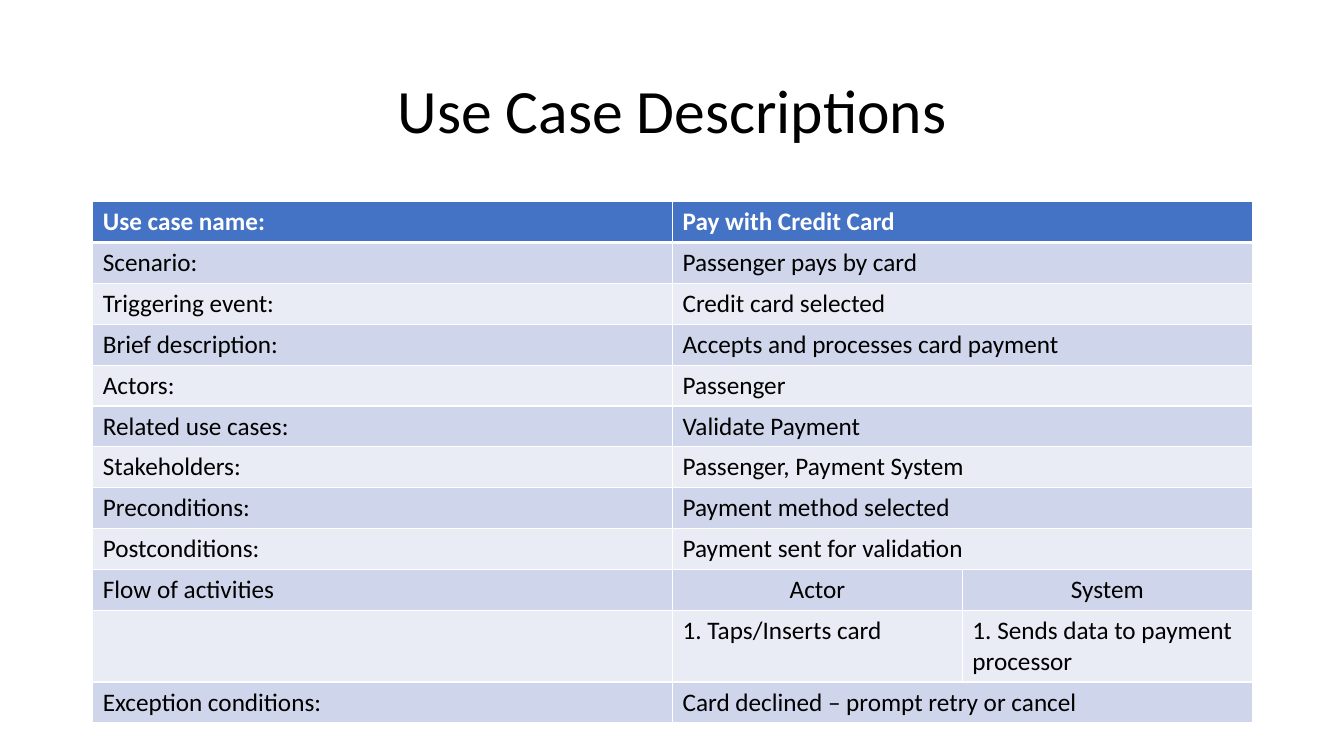
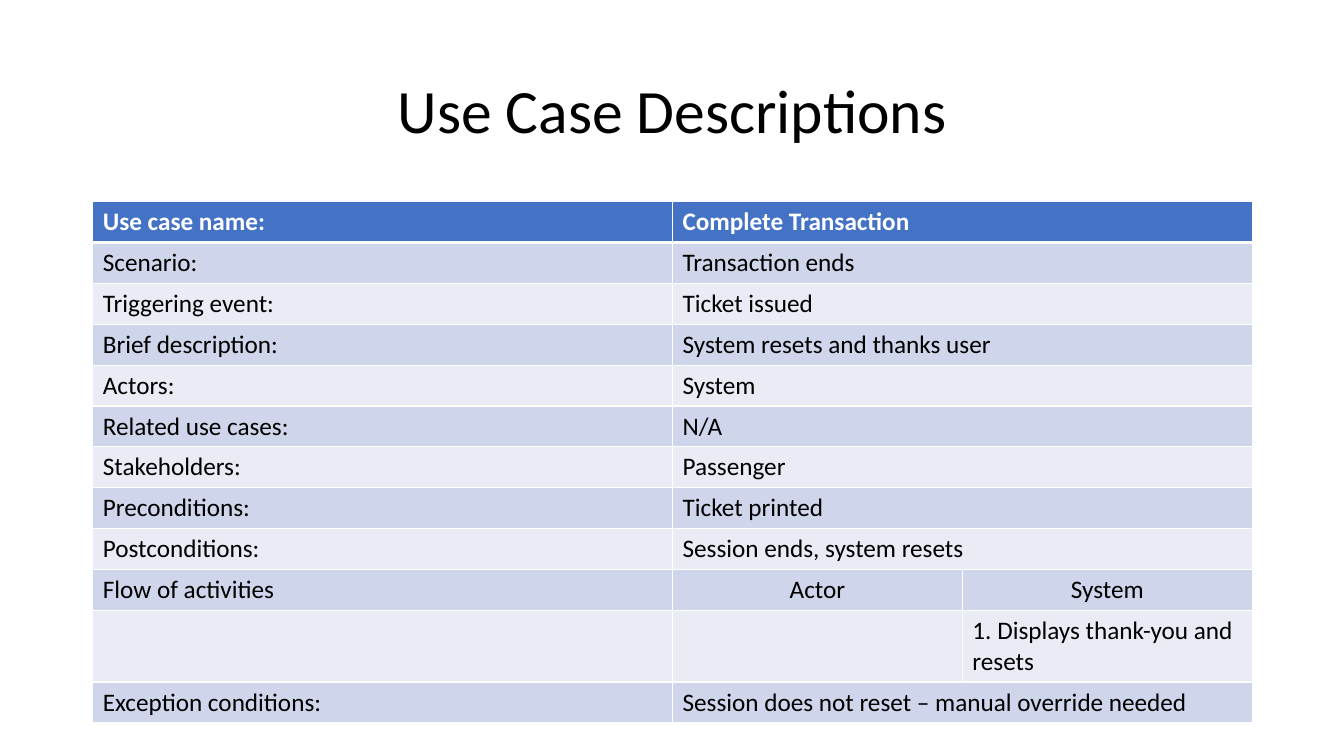
from dataclasses import dataclass

from lxml.etree import SubElement
from pptx import Presentation
from pptx.dml.color import RGBColor
from pptx.enum.text import MSO_ANCHOR, PP_ALIGN
from pptx.oxml.ns import qn
from pptx.presentation import Presentation as Deck
from pptx.slide import Slide
from pptx.table import Table, _Cell as Cell
from pptx.text.text import _Paragraph as Paragraph
from pptx.util import Inches, Pt


@dataclass(frozen=True)
class Theme:
    font: str = "Calibri"
    title_size: float = 44
    table_size: float = 18
    text: str = "000000"
    header_text: str = "FFFFFF"
    header_fill: str = "4472C4"
    bands: tuple[str, str] = ("E9EBF5", "CFD5EA")
    rule: str = "FFFFFF"
    thin_rule: float = 1
    header_rule: float = 3


@dataclass(frozen=True)
class UseCase:
    details: tuple[str, ...]  # one answer for each of DETAIL_LABELS
    actor_step: str
    system_step: str
    exception: str


THEME = Theme()
TITLE = "Use Case Descriptions"
DETAIL_LABELS = (
    "Use case name:",
    "Scenario:",
    "Triggering event:",
    "Brief description:",
    "Actors:",
    "Related use cases:",
    "Stakeholders:",
    "Preconditions:",
    "Postconditions:",
)
USE_CASES = (
    UseCase(
        details=(
            "Pay with Credit Card",
            "Passenger pays by card",
            "Credit card selected",
            "Accepts and processes card payment",
            "Passenger",
            "Validate Payment",
            "Passenger, Payment System",
            "Payment method selected",
            "Payment sent for validation",
        ),
        actor_step="1. Taps/Inserts card",
        system_step="1. Sends data to payment processor",
        exception="Card declined – prompt retry or cancel",
    ),
    UseCase(
        details=(
            "Complete Transaction",
            "Transaction ends",
            "Ticket issued",
            "System resets and thanks user",
            "System",
            "N/A",
            "Passenger",
            "Ticket printed",
            "Session ends, system resets",
        ),
        actor_step="",
        system_step="1. Displays thank-you and resets",
        exception="Session does not reset – manual override needed",
    ),
)

LEFT, WIDTH = Inches(0.92), Inches(11.5)
TABLE_TOP, TABLE_HEIGHT = Inches(2), Inches(5.16)
STEPS_HEIGHT = Inches(0.7)
FLOW_ROW = len(DETAIL_LABELS)
STEPS_ROW = FLOW_ROW + 1


def add_text(paragraph: Paragraph, text: str, size: float, color: str, bold: bool = False) -> None:
    run = paragraph.add_run()
    run.text = text
    run.font.name = THEME.font
    run.font.size = Pt(size)
    run.font.bold = bold
    run.font.color.rgb = RGBColor.from_string(color)


def add_title(slide: Slide) -> None:
    title = slide.shapes.title
    title.left, title.top, title.width, title.height = LEFT, Inches(0.4), WIDTH, Inches(1.45)
    title.text_frame.vertical_anchor = MSO_ANCHOR.MIDDLE
    heading = title.text_frame.paragraphs[0]
    heading.alignment = PP_ALIGN.CENTER
    heading.line_spacing = 0.9
    add_text(heading, TITLE, THEME.title_size, THEME.text)


def set_borders(cell: Cell, top: float, bottom: float) -> None:
    """Rule all four sides; call before filling, as borders come first in the XML."""
    properties = cell._tc.get_or_add_tcPr()
    widths = {"L": THEME.thin_rule, "R": THEME.thin_rule, "T": top, "B": bottom}
    for side, width in widths.items():
        line = SubElement(properties, qn(f"a:ln{side}"), w=str(Pt(width)))
        fill = SubElement(line, qn("a:solidFill"))
        SubElement(fill, qn("a:srgbClr"), val=THEME.rule)


def style_cell(cell: Cell, row: int) -> None:
    set_borders(
        cell,
        top=THEME.header_rule if row == 1 else THEME.thin_rule,
        bottom=THEME.header_rule if row == 0 else THEME.thin_rule,
    )
    cell.fill.solid()
    color = THEME.header_fill if row == 0 else THEME.bands[row % 2]
    cell.fill.fore_color.rgb = RGBColor.from_string(color)


def table_rows(use_case: UseCase) -> list[tuple[str, ...]]:
    """Rows of two texts span the last two columns; rows of three do not."""
    return [
        *zip(DETAIL_LABELS, use_case.details),
        ("Flow of activities", "Actor", "System"),
        ("", use_case.actor_step, use_case.system_step),
        ("Exception conditions:", use_case.exception),
    ]


def fill_row(table: Table, row: int, texts: tuple[str, ...]) -> None:
    for column in range(len(table.columns)):
        style_cell(table.cell(row, column), row)
    if len(texts) == 2:
        table.cell(row, 1).merge(table.cell(row, 2))
    is_header = row == 0
    color = THEME.header_text if is_header else THEME.text
    for column, text in enumerate(texts):
        if not text:
            continue
        paragraph = table.cell(row, column).text_frame.paragraphs[0]
        if row == FLOW_ROW and column > 0:
            paragraph.alignment = PP_ALIGN.CENTER
        add_text(paragraph, text, THEME.table_size, color, is_header)


def add_description(slide: Slide, use_case: UseCase) -> None:
    rows = table_rows(use_case)
    frame = slide.shapes.add_table(len(rows), 3, LEFT, TABLE_TOP, WIDTH, TABLE_HEIGHT)
    table = frame.table
    for column, share in zip(table.columns, (2, 4, 4)):
        column.width = WIDTH // share
    plain_height = (TABLE_HEIGHT - STEPS_HEIGHT) // (len(rows) - 1)
    for row, texts in enumerate(rows):
        table.rows[row].height = STEPS_HEIGHT if row == STEPS_ROW else plain_height
        fill_row(table, row, texts)


def add_use_case_slide(deck: Deck, use_case: UseCase) -> None:
    title_only = deck.slide_layouts[5]
    slide = deck.slides.add_slide(title_only)
    add_title(slide)
    add_description(slide, use_case)


def main() -> None:
    deck = Presentation()
    deck.slide_width, deck.slide_height = Inches(13.33), Inches(7.5)
    for use_case in USE_CASES:
        add_use_case_slide(deck, use_case)
    deck.save("out.pptx")


if __name__ == "__main__":
    main()
